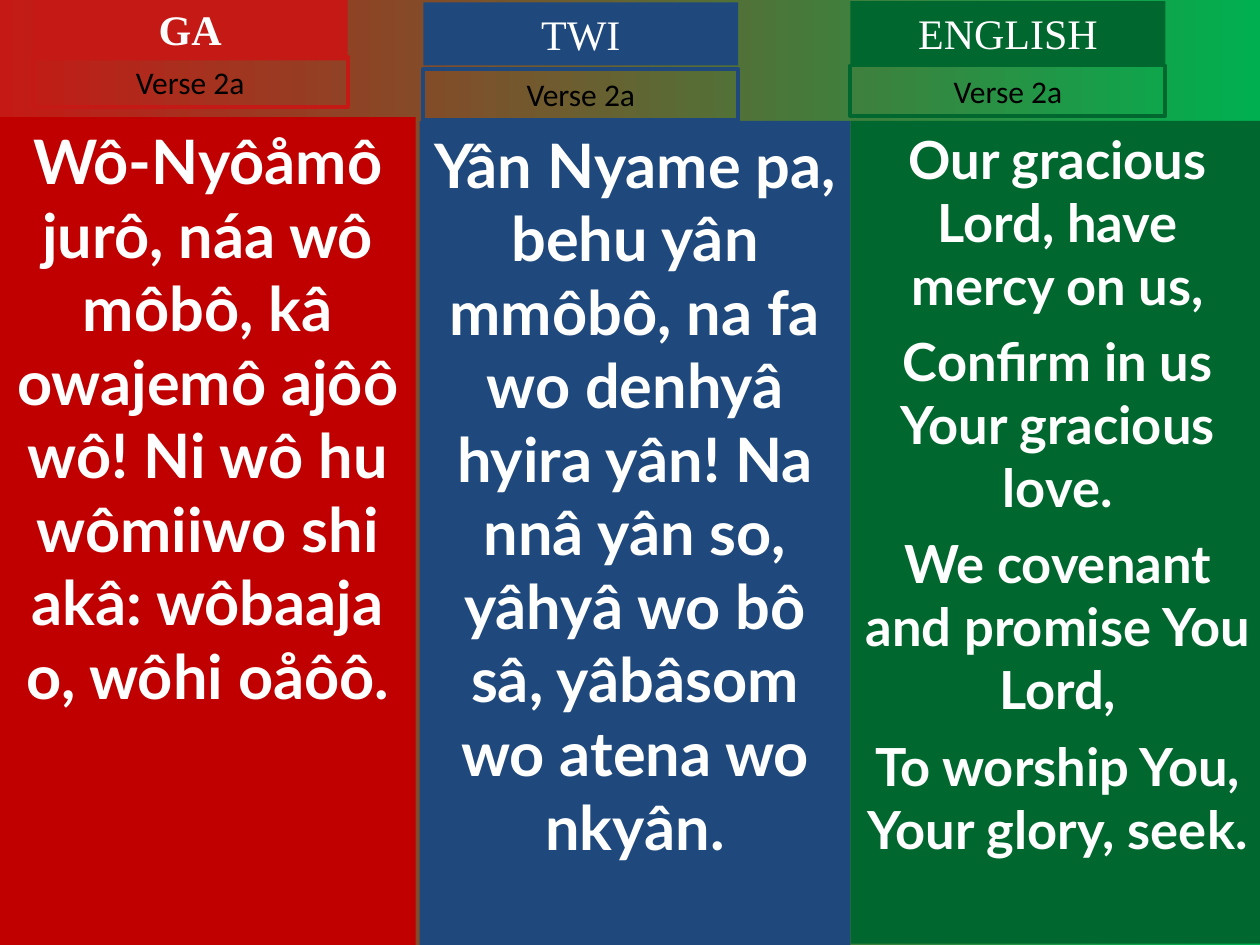
from dataclasses import dataclass

from pptx import Presentation
from pptx.dml.color import RGBColor
from pptx.enum.shapes import MSO_SHAPE as SHAPE
from pptx.enum.text import MSO_ANCHOR as ANCHOR, PP_ALIGN as ALIGN
from pptx.util import Inches, Pt

WHITE, BLACK = "FFFFFF", "000000"
LABEL_W, HEAD_H, VERSE_H = 2.5, 0.5, 0.4


@dataclass
class Column:
    language: str
    head_color: str
    head_bold: bool
    label_left: float
    head_top: float
    verse_top: float
    body_color: str
    body_box: tuple[float, float, float, float]
    body_size: float
    body_gap: float
    lines: list[str]


COLUMNS = [
    Column("GA", "C51915", True, 0.26, -0.02, 0.45,
           "C00000", (0, 0.93, 3.3, 6.57), 35, 8.8,
           ["Wô-Nyôåmô jurô, náa wô môbô, kâ owajemô ajôô wô! "
            "Ni wô hu wômiiwo shi akâ: wôbaaja o, wôhi oåôô."]),
    Column("TWI", "1F497D", False, 3.36, 0.02, 0.55,
           "1F497D", (3.33, 0.96, 3.42, 6.54), 35, 8.8,
           ["Yân Nyame pa, behu yân mmôbô, na fa wo denhyâ hyira yân! "
            "Na nnâ yân so, yâhyâ wo bô sâ, yâbâsom wo atena wo nkyân."]),
    Column("ENGLISH", "00682F", False, 6.75, 0.01, 0.52,
           "00682F", (6.75, 0.96, 3.29, 6.53), 30, 7.5,
           ["Our gracious Lord, have mercy on us,",
            "Confirm in us Your gracious love.",
            "We covenant and promise You Lord,",
            "To worship You, Your glory, seek."]),
]


def rgb(color: str) -> RGBColor:
    return RGBColor.from_string(color)


def add_box(s, box, fill=None, line=None):
    """Add a rectangle with an optional fill and outline."""
    sp = s.shapes.add_shape(SHAPE.RECTANGLE, *map(Inches, box))
    sp.shadow.inherit = False
    if fill:
        sp.fill.solid()
        sp.fill.fore_color.rgb = rgb(fill)
    else:
        sp.fill.background()
    if line:
        sp.line.color.rgb = rgb(line)
        sp.line.width = Pt(2.25)
    else:
        sp.line.fill.background()
    return sp


def write(sp, lines: list[str], *, size: float, font: str,
          color: str = WHITE, bold: bool = False, gap: float = 0) -> None:
    """Write centred paragraphs from the top of a shape."""
    tf = sp.text_frame
    tf.word_wrap = True
    tf.vertical_anchor = ANCHOR.TOP
    for i, text in enumerate(lines):
        p = tf.add_paragraph() if i else tf.paragraphs[0]
        p.alignment = ALIGN.CENTER
        if i:
            p.space_before = Pt(gap)
        r = p.add_run()
        r.text = text
        r.font.size = Pt(size)
        r.font.name = font
        r.font.bold = bold
        r.font.color.rgb = rgb(color)


def add_column(s, col: Column) -> None:
    # Verse text
    body = add_box(s, col.body_box, fill=col.body_color)
    write(body, col.lines, size=col.body_size, font="Lato", bold=True,
          gap=col.body_gap)
    # Language heading
    head = add_box(s, (col.label_left, col.head_top, LABEL_W, HEAD_H),
                   fill=col.head_color)
    write(head, [col.language], size=24, font="Times New Roman",
          bold=col.head_bold)
    # Verse number
    verse = add_box(s, (col.label_left, col.verse_top, LABEL_W, VERSE_H),
                    line=col.head_color)
    write(verse, ["Verse 2a"], size=18, font="Calibri", color=BLACK)


def main() -> None:
    prs = Presentation()
    prs.slide_width, prs.slide_height = Inches(10), Inches(7.5)
    s = prs.slides.add_slide(prs.slide_layouts[6])

    # Red to green background
    bg = s.background.fill
    bg.gradient()
    bg.gradient_angle = 0
    for stop, color in zip(bg.gradient_stops, ("C51915", "00B050")):
        stop.color.rgb = rgb(color)

    for col in COLUMNS:
        add_column(s, col)
    prs.save("out.pptx")


if __name__ == "__main__":
    main()
